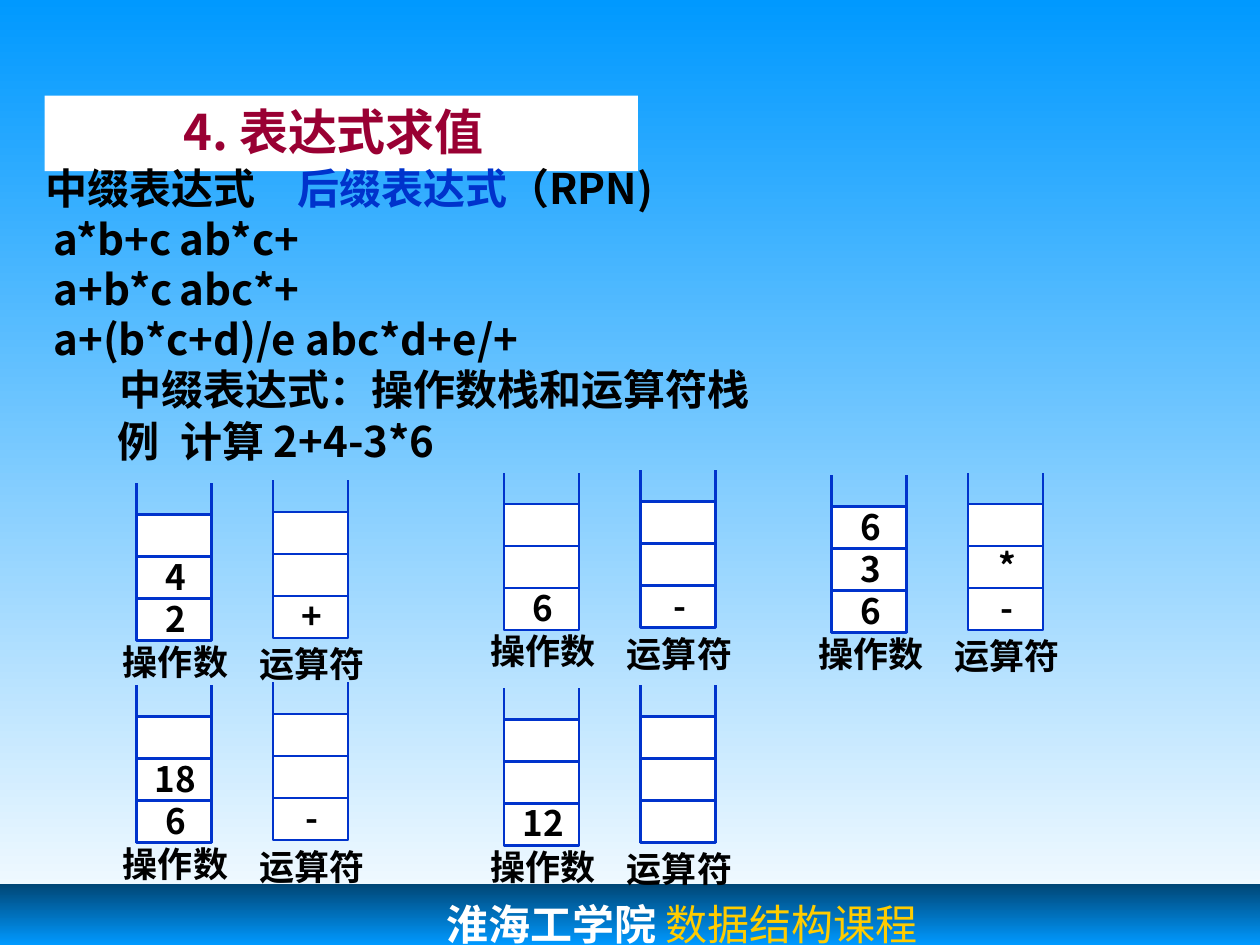
import pptx
import pptx.util
import pptx.dml.color
import pptx.enum.shapes
import pptx.enum.text
import pptx.oxml.ns
from lxml import etree

COLORS = {"sky": "0099FF", "deep": "004675", "white": "FFFFFF", "black": "000000",
          "blue": "0033CC", "wine": "990033", "gold": "FFCC00"}
SANS, SERIF = "Noto Sans CJK SC", "Times New Roman"
COLUMNS, ROWS = 120, 90
CELL_WIDTH, CELL_HEIGHT, CELLS = 7.15, 4, 3
ALIGN = pptx.enum.text.PP_ALIGN
ANCHOR = pptx.enum.text.MSO_ANCHOR


def rgb(name):
    return pptx.dml.color.RGBColor.from_string(COLORS[name])


def write(paragraph, text, size=24, color="black", bold=True, font=SANS):
    """Append a formatted run to the paragraph."""
    run = paragraph.add_run()
    run.text = text
    run.font.size = pptx.util.Pt(size)
    run.font.bold = bold
    run.font.name = font
    run.font.color.rgb = rgb(color)
    east_asian = etree.SubElement(run.font._element, pptx.oxml.ns.qn("a:ea"))
    east_asian.set("typeface", SANS)


class Deck:
    def __init__(self):
        self.presentation = pptx.Presentation()
        self.presentation.slide_width = pptx.util.Inches(10)
        self.presentation.slide_height = pptx.util.Inches(7.5)
        layout = self.presentation.slide_layouts[1]
        self.slide = self.presentation.slides.add_slide(layout)
        self.gradient(self.slide.background.fill, "sky", "white")

    def x(self, columns):
        return round(self.presentation.slide_width * columns / COLUMNS)

    def y(self, rows):
        return round(self.presentation.slide_height * rows / ROWS)

    def box(self, left, top, width, height):
        return self.x(left), self.y(top), self.x(width), self.y(height)

    def gradient(self, fill, start, end):
        fill.gradient()
        fill.gradient_angle = 270
        for stop, color in zip(fill.gradient_stops, (start, end)):
            stop.color.rgb = rgb(color)

    def frame(self, shape, anchor=ANCHOR.MIDDLE, wrap=True):
        frame = shape.text_frame
        frame.auto_size = pptx.enum.text.MSO_AUTO_SIZE.NONE
        frame.word_wrap = wrap
        frame.vertical_anchor = anchor
        return frame

    def placeholder(self, index, *place, anchor=ANCHOR.MIDDLE):
        holder = self.slide.placeholders[index]
        holder.left, holder.top, holder.width, holder.height = self.box(*place)
        return holder, self.frame(holder, anchor)

    def layout(self, paragraph, indent=0, tab=None):
        """Set left indent and one tab stop, with no bullet and no spacing."""
        properties = paragraph._p.get_or_add_pPr()
        properties.set("marL", str(self.x(indent)))
        properties.set("indent", "0")
        etree.SubElement(properties, pptx.oxml.ns.qn("a:buNone"))
        if tab:
            tabs = etree.SubElement(properties, pptx.oxml.ns.qn("a:tabLst"))
            etree.SubElement(tabs, pptx.oxml.ns.qn("a:tab"), pos=str(self.x(tab)), algn="l")
        paragraph.alignment = ALIGN.LEFT
        paragraph.space_before = pptx.util.Pt(0)

    def rectangle(self, shapes, *place):
        shape = shapes.add_shape(pptx.enum.shapes.MSO_SHAPE.RECTANGLE, *self.box(*place))
        shape.shadow.inherit = False
        return shape

    def cell(self, shapes, left, top):
        cell = self.rectangle(shapes, left, top, CELL_WIDTH, CELL_HEIGHT)
        cell.fill.solid()
        cell.fill.fore_color.rgb = rgb("white")
        cell.line.color.rgb = rgb("blue")
        cell.line.width = pptx.util.Pt(1.5)

    def wall(self, shapes, column, bottom, top):
        wall = shapes.add_connector(pptx.enum.shapes.MSO_CONNECTOR.STRAIGHT, self.x(column),
                                    self.y(bottom), self.x(column), self.y(top))
        wall.line.color.rgb = rgb("blue")
        wall.line.width = pptx.util.Pt(1.5)
        etree.SubElement(wall._element.spPr, pptx.oxml.ns.qn("a:effectLst"))

    def label(self, shapes, text, center, top, width):
        label = shapes.add_textbox(*self.box(center - width / 2, top, width, 5.25))
        paragraph = self.frame(label, wrap=False).paragraphs[0]
        paragraph.alignment = ALIGN.CENTER
        write(paragraph, text, size=20)

    def sentence(self, text, *place, tab=None):
        sentence = self.slide.shapes.add_textbox(*self.box(*place))
        paragraph = self.frame(sentence).paragraphs[0]
        self.layout(paragraph, tab=tab)
        write(paragraph, text)

    def stack(self, shapes, name, values, left, top, name_top):
        """Draw an open-topped stack; values run from the bottom up."""
        bottom = top + CELLS * CELL_HEIGHT
        for side in (left, left + CELL_WIDTH):
            self.wall(shapes, side, bottom, top - 3)
        levels = [bottom - (level + 1) * CELL_HEIGHT for level in range(CELLS)]
        for level in levels:
            self.cell(shapes, left, level)
        center = left + CELL_WIDTH / 2 + 0.15
        self.label(shapes, name, center, top + name_top, 12.35)
        for value, level in zip(values, levels):
            self.label(shapes, value, center, level - 0.75, 2.5 + 1.95 * len(value))

    def step(self, left, top, operands, operators):
        shapes = self.slide.shapes.add_group_shape().shapes
        self.stack(shapes, "操作数", operands, left, top, 11.35)
        self.stack(shapes, "运算符", operators, left + 13, top - 0.25, 11.85)


def main():
    deck = Deck()

    # Footer band
    footer = deck.rectangle(deck.slide.shapes, 0, 84.2, 120, 5.8)
    deck.gradient(footer.fill, "deep", "sky")
    footer.line.fill.background()
    course = deck.frame(footer)
    course.margin_left = deck.x(42.5)
    course.margin_top, course.margin_bottom = deck.y(1.7), 0
    deck.layout(course.paragraphs[0])
    write(course.paragraphs[0], "淮海工学院", color="white")
    write(course.paragraphs[0], " 数据结构课程", color="gold", bold=False, font=SERIF)

    # Title
    title, heading = deck.placeholder(0, 4.25, 9.1, 56.5, 7.2, anchor=ANCHOR.TOP)
    title.fill.solid()
    title.fill.fore_color.rgb = rgb("white")
    deck.layout(heading.paragraphs[0], indent=12)
    write(heading.paragraphs[0], "4. 表达式求值", size=28, color="wine")

    # Infix and postfix forms in two columns
    _, notation = deck.placeholder(1, 3.1, 14.9, 104, 20.4)
    headings = notation.paragraphs[0]
    deck.layout(headings, tab=35.2)
    write(headings, "中缀表达式\t")
    write(headings, "后缀表达式", color="blue")
    write(headings, "（RPN)")
    for infix, postfix, tab in (("a*b+c", "ab*c+", 37.5), ("a+b*c", "abc*+", 37.5),
                                ("a+(b*c+d)/e", "abc*d+e/+", 40.2)):
        pair = notation.add_paragraph()
        deck.layout(pair, indent=0.8, tab=tab)
        write(pair, f"{infix}\t{postfix}")

    # Worked example
    deck.sentence("中缀表达式：操作数栈和运算符栈", 10.2, 34, 65, 6)
    deck.sentence("例\t计算 2+4-3*6", 10, 39, 40, 6, tab=6.7)

    # Stack states, step by step
    for left, top, operands, operators in (
            (13, 49, ["2", "4"], ["+"]),
            (48, 48, ["6"], ["-"]),
            (79.2, 48.25, ["6", "3", "6"], ["-", "*"]),
            (13, 68.25, ["6", "18"], ["-"]),
            (48, 68.5, ["12"], [])):
        deck.step(left, top, operands, operators)

    deck.presentation.save("out.pptx")


if __name__ == "__main__":
    main()
